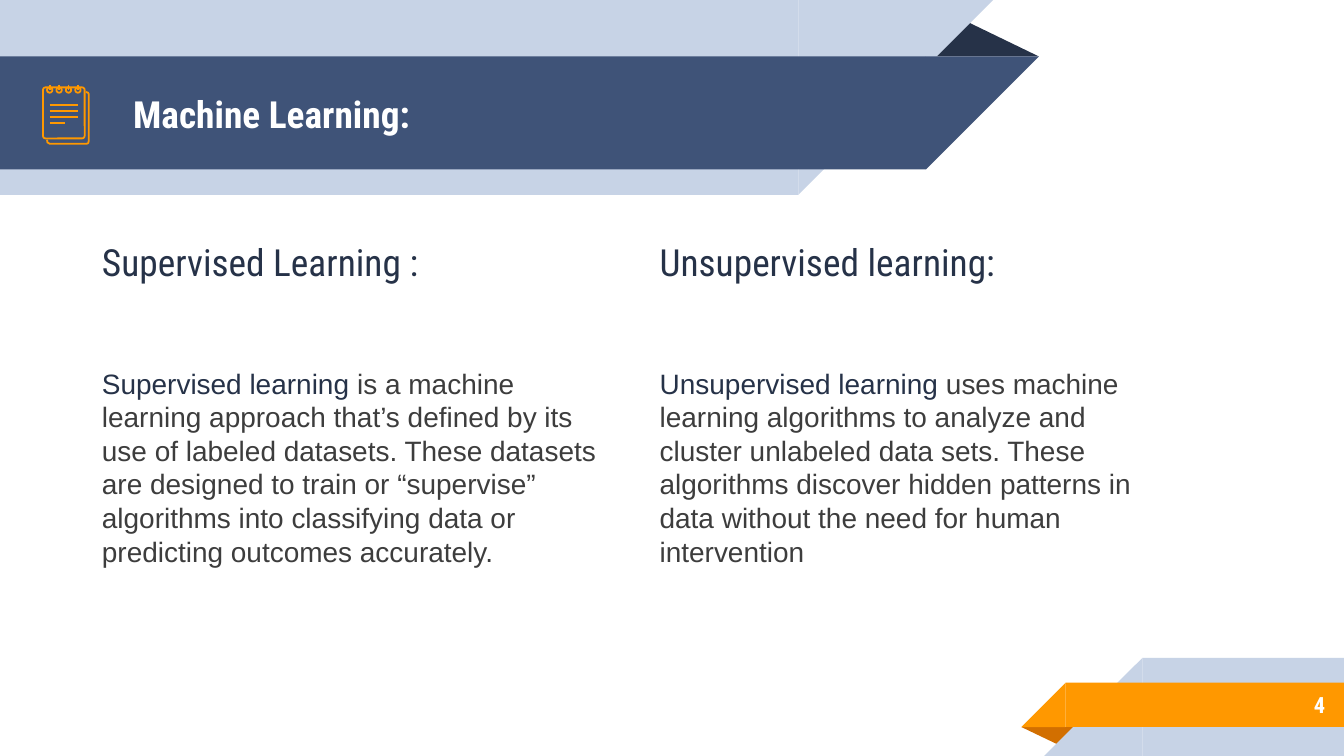
"""Build the slide that compares supervised and unsupervised learning."""
from lxml import etree
from pptx import Presentation
from pptx import util as u
from pptx.dml.color import RGBColor
from pptx.enum import shapes, text
from pptx.oxml import ns

NAVY = RGBColor(0x26, 0x32, 0x48)
BLUE = RGBColor(0x3F, 0x53, 0x78)
PALE = RGBColor(0xC7, 0xD3, 0xE6)
ORANGE = RGBColor(0xFF, 0x98, 0x00)
RUST = RGBColor(0xD2, 0x6F, 0x00)
GRAY = RGBColor(0x3D, 0x3D, 0x3D)
WHITE = RGBColor(0xFF, 0xFF, 0xFF)
HEAD_FONT, BODY_FONT = "Roboto Condensed", "Arial"
CELL = u.Inches(0.1)
COLUMNS, ROWS = 100, 56.25
KIND = shapes.MSO_SHAPE


class SlideBuilder:
    """Style and current slide, measured on a grid of square cells."""

    def __init__(self, deck):
        self.page = deck.slides.add_slide(deck.slide_layouts[5])

    def cells(self, *counts):
        return [u.Emu(round(count * CELL)) for count in counts]

    def shape(self, kind, at, fill=None, turn=0, adjust=None):
        item = self.page.shapes.add_shape(kind, *self.cells(*at))
        item.rotation = turn
        if adjust is not None:
            item.adjustments[0] = adjust
        self.paint(item, fill)

    def paint(self, item, fill=None):
        item.shadow.inherit = False
        if fill is None:
            item.fill.background()
            self.stroke(item.line)
        else:
            item.fill.solid()
            item.fill.fore_color.rgb = fill
            item.line.fill.background()

    def stroke(self, line):
        line.color.rgb = ORANGE
        line.width = u.Pt(0.96)

    def top_band(self, top, width, height, fill):
        self.shape(KIND.RECTANGLE, (0, top, width, height), fill)
        self.shape(KIND.RIGHT_TRIANGLE, (width, top, height, height), fill, turn=90)

    def bottom_band(self, left, top, height, fill):
        self.shape(KIND.RECTANGLE, (left, top, COLUMNS - left, height), fill)
        self.shape(KIND.RIGHT_TRIANGLE, (left - height, top, height, height), fill, turn=270)

    def line(self, *ends):
        item = self.page.shapes.add_connector(shapes.MSO_CONNECTOR.STRAIGHT, *self.cells(*ends))
        self.stroke(item.line)
        etree.SubElement(item._element.spPr, ns.qn("a:effectLst"))

    def outline(self, *points):
        start, *others = [self.cells(*point) for point in points]
        builder = self.page.shapes.build_freeform(*start)
        builder.add_line_segments(others, close=False)
        self.paint(builder.convert_to_shape())

    def frame(self, box, at, anchor):
        box.left, box.top, box.width, box.height = self.cells(*at)
        frame = box.text_frame
        frame.word_wrap = True
        frame.auto_size = text.MSO_AUTO_SIZE.NONE
        frame.vertical_anchor = anchor
        frame.margin_left = frame.margin_right = CELL
        frame.margin_top = frame.margin_bottom = CELL
        return frame

    def text_box(self, at, anchor):
        return self.frame(self.page.shapes.add_textbox(0, 0, 0, 0), at, anchor)

    def span(self, para, words, size, color, font=HEAD_FONT, bold=False):
        span = para.add_run()
        span.text = words
        span.font.name, span.font.size = font, u.Pt(size)
        span.font.color.rgb, span.font.bold = color, bold

    def title(self, words, at):
        box = self.page.shapes.title
        para = self.frame(box, at, text.MSO_ANCHOR.MIDDLE).paragraphs[0]
        para.alignment = text.PP_ALIGN.LEFT
        self.span(para, words, 20, WHITE, bold=True)
        self.page.shapes._spTree.append(box._element)

    def number(self, words, at):
        para = self.text_box(at, text.MSO_ANCHOR.MIDDLE).paragraphs[0]
        para.alignment = text.PP_ALIGN.RIGHT
        self.span(para, words, 12, WHITE, bold=True)

    def topic(self, at, heading, term, rest):
        frame = self.text_box(at, text.MSO_ANCHOR.TOP)
        para = frame.paragraphs[0]
        para.space_before = u.Pt(6)
        self.span(para, heading, 20, NAVY)
        para = frame.add_paragraph()
        para.space_before, para.space_after = u.Pt(44), u.Pt(10)
        para.line_spacing = u.Pt(18)
        self.span(para, term, 15, NAVY, BODY_FONT)
        self.span(para, rest, 15, GRAY, BODY_FONT)

    def notepad(self, left, top):
        right, bottom = left + 3.4, top + 4.2
        self.outline((left + 0.3, bottom - 0.3), (left + 0.33, bottom - 0.1),
                     (left + 0.5, bottom), (right - 0.15, bottom),
                     (right - 0.03, bottom - 0.05), (right, bottom - 0.2),
                     (right, top + 0.5), (right - 0.05, top + 0.4), (right - 0.2, top + 0.35))
        self.shape(KIND.ROUNDED_RECTANGLE, (left, top, 3.1, 3.8), adjust=0.06)
        for ring in range(4):
            middle = left + 0.5 + 0.7 * ring
            self.shape(KIND.OVAL, (middle - 0.2, top, 0.4, 0.4))
            self.line(middle, top - 0.2, middle, top + 0.2)
        for row, width in enumerate((2.1, 2.1, 2.1, 1.1)):
            height = top + 1.3 + 0.45 * row
            self.line(left + 0.5, height, left + 0.5 + width, height)


def main():
    deck = Presentation()
    deck.slide_width, deck.slide_height = round(COLUMNS * CELL), round(ROWS * CELL)
    slide = SlideBuilder(deck)

    slide.shape(KIND.ISOSCELES_TRIANGLE, (68.8, 1.4, 8.5, 2.8), NAVY, adjust=0.32)
    slide.top_band(0, 59.4, 14.5, PALE)
    slide.top_band(4.2, 68.9, 8.4, BLUE)
    slide.shape(KIND.ISOSCELES_TRIANGLE, (76, 54.1, 4.3, 1.4), RUST, turn=180, adjust=0.32)
    slide.bottom_band(85, 48.95, 7.3, PALE)
    slide.bottom_band(79.3, 50.8, 3.3, ORANGE)

    slide.title("Machine Learning:", (8.9, 4.25, 57.5, 8.4))
    slide.number("4", (83.3, 50.7, 16.3, 3.5))
    slide.notepad(3.2, 6.5)
    slide.topic((6.6, 16.8, 39.1, 29), "Supervised Learning :", "Supervised learning",
                " is a machine learning approach that’s defined by its use of labeled datasets. "
                "These datasets are designed to train or “supervise” algorithms into "
                "classifying data or predicting outcomes accurately.")
    slide.topic((48.1, 16.8, 40.3, 32.5), "Unsupervised learning:", "Unsupervised learning",
                " uses machine learning algorithms to analyze and cluster unlabeled data sets. "
                "These algorithms discover hidden patterns in data without the need for "
                "human intervention")
    deck.save("out.pptx")


if __name__ == "__main__":
    main()
